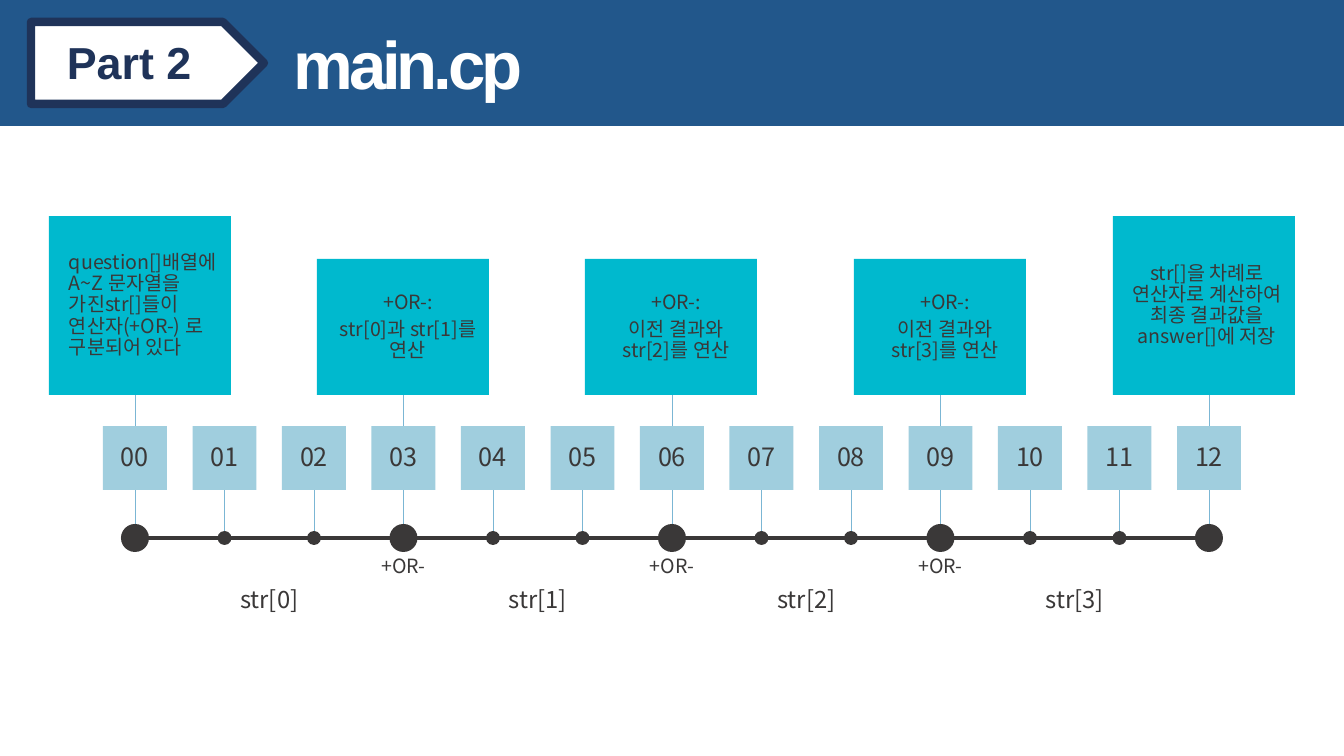
from lxml import etree
from pptx import Presentation
from pptx import util as u
from pptx.dml.color import RGBColor
from pptx.enum import shapes, text
from pptx.oxml.ns import qn

PX = 914400 / 100.8
KOREAN = "Noto Sans CJK KR"
NAVY, BLUE, WHITE = "1F3359", "22578B", "FFFFFF"
INK, STEM, TILE, CARD = "3A3838", "7BB6D4", "A0CEDE", "00B9CE"
RECT = shapes.MSO_SHAPE.RECTANGLE
LEFT, CENTER = text.PP_ALIGN.LEFT, text.PP_ALIGN.CENTER

LAST_STEP = 12
STEPS_PER_PART = 3
CARDS = [
    (["question[]배열에 A~Z 문자열을 가진str[]들이 연산자(+OR-) 로 구분되어 있다"],
     (49, 216, 182, 179), LEFT, 20),
    (["+OR-:", "str[0]과 str[1]를 연산"], (317, 259, 172, 136), CENTER, 20),
    (["+OR-:", "이전 결과와 str[2]를 연산"], (585, 259, 172, 136), CENTER, 20),
    (["+OR-:", "이전 결과와 str[3]를 연산"], (854, 259, 172, 136), CENTER, 20),
    (["str[]을 차례로 연산자로 계산하여 최종 결과값을 answer[]에 저장"],
     (1113, 216, 182, 179), CENTER, 16),
]


def px(length):
    """Turn a length in px into EMU."""
    return u.Emu(round(length * PX))


def color(value):
    """Turn a hex string into a colour."""
    return RGBColor.from_string(value)


def add_block(slide, kind, box, fill, line=None, weight=0):
    """Add a flat preset shape with an optional outline."""
    block = slide.shapes.add_shape(kind, *map(px, box))
    block.shadow.inherit = False
    block.fill.solid()
    block.fill.fore_color.rgb = color(fill)
    if line:
        block.line.color.rgb = color(line)
        block.line.width = u.Pt(weight)
    else:
        block.line.fill.background()
    return block


def add_rule(slide, start, end, stroke, weight):
    """Add a straight line without a shadow."""
    rule = slide.shapes.add_connector(
        shapes.MSO_CONNECTOR.STRAIGHT, *map(px, start + end))
    rule.line.color.rgb = color(stroke)
    rule.line.width = u.Pt(weight)
    etree.SubElement(rule._element.spPr, qn("a:effectLst"))


def add_heading(slide, box, words, size, ink):
    """Add a bold one-line heading and return its run."""
    frame = slide.shapes.add_textbox(*map(px, box)).text_frame
    frame.word_wrap = False
    frame.auto_size = text.MSO_AUTO_SIZE.SHAPE_TO_FIT_TEXT
    paragraph = frame.paragraphs[0]
    paragraph.text = words
    font = paragraph.font
    font.name, font.size, font.bold = "Arial", u.Pt(size), True
    font.color.rgb = color(ink)
    return paragraph.runs[0]


def write(frame, lines, size, before=10, align=CENTER, insets=(10, 5, 10, 5)):
    """Fill a frame with vertically centred Korean paragraphs."""
    frame.word_wrap = True
    frame.vertical_anchor = text.MSO_ANCHOR.MIDDLE
    (frame.margin_left, frame.margin_top,
     frame.margin_right, frame.margin_bottom) = map(px, insets)
    frame.text = "\n".join(lines)
    for paragraph in frame.paragraphs:
        paragraph.alignment = align
        paragraph.line_spacing = 0.9
        paragraph.space_before = u.Pt(before)
        font = paragraph.font
        font.name, font.size = KOREAN, u.Pt(size)
        font.color.rgb = color(INK)
        defaults = paragraph._p.pPr.find(qn("a:defRPr"))
        etree.SubElement(defaults, qn("a:ea")).set("typeface", KOREAN)


def add_header(slide, box):
    """Draw the title band with its part tag."""
    left, top, width, height = box
    add_block(slide, RECT, box, BLUE)
    add_block(slide, shapes.MSO_SHAPE.PENTAGON,
              (left + 31, top + 22, 233, 82), WHITE, NAVY, 6)
    add_heading(slide, (left + 57, top + 30, 146, 65), "Part 2", 32, NAVY)
    title = add_heading(slide, (left + 284, top + 17, 284, 92), "main.cpp", 48, WHITE)
    title._r.get_or_add_rPr().set("spc", "-300")


def add_label(slide, center, top, words, size):
    """Add a caption centred below the axis."""
    label = slide.shapes.add_textbox(*map(px, (center - 37, top, 74, 29)))
    write(label.text_frame, [words], size, insets=(0, 0, 0, 0))


def add_timeline(slide, box):
    """Draw the axis, numbered steps and captions from card foot to caption foot."""
    left, top, width, height = box
    axis = top + 143
    step = width / LAST_STEP
    add_rule(slide, (left, axis), (left + width, axis), INK, 2.84)
    for number in range(LAST_STEP + 1):
        center = left + number * step
        major = number % STEPS_PER_PART == 0
        radius = 14 if major else 7
        add_rule(slide, (center, axis), (center, top if major else top + 95), STEM, 0.5)
        add_block(slide, shapes.MSO_SHAPE.OVAL,
                  (center - radius, axis - radius, 2 * radius, 2 * radius), INK)
        tile = add_block(slide, RECT, (center - 32, top + 31, 64, 64), TILE)
        write(tile.text_frame, [f"{number:02}"], 18)
        if major and 0 < number < LAST_STEP:
            add_label(slide, center, top + 158, "+OR-", 14)
    part = step * STEPS_PER_PART
    for index in range(LAST_STEP // STEPS_PER_PART):
        add_label(slide, left + (index + 0.5) * part, top + height - 29,
                  f"str[{index}]", 17)


def add_card(slide, box, lines, align, inset):
    """Draw one explanation card."""
    card = add_block(slide, RECT, box, CARD)
    write(card.text_frame, lines, 14, 4, align, (inset, 5, 10, 5))


def main():
    """Build and save the slide."""
    deck = Presentation()
    deck.slide_width, deck.slide_height = px(1344), px(756)
    slide = deck.slides.add_slide(deck.slide_layouts[6])
    add_header(slide, (0, 0, 1344, 126))
    add_timeline(slide, (135, 395, 1074, 220))
    for lines, box, align, inset in CARDS:
        add_card(slide, box, lines, align, inset)
    deck.save("out.pptx")


if __name__ == "__main__":
    main()
